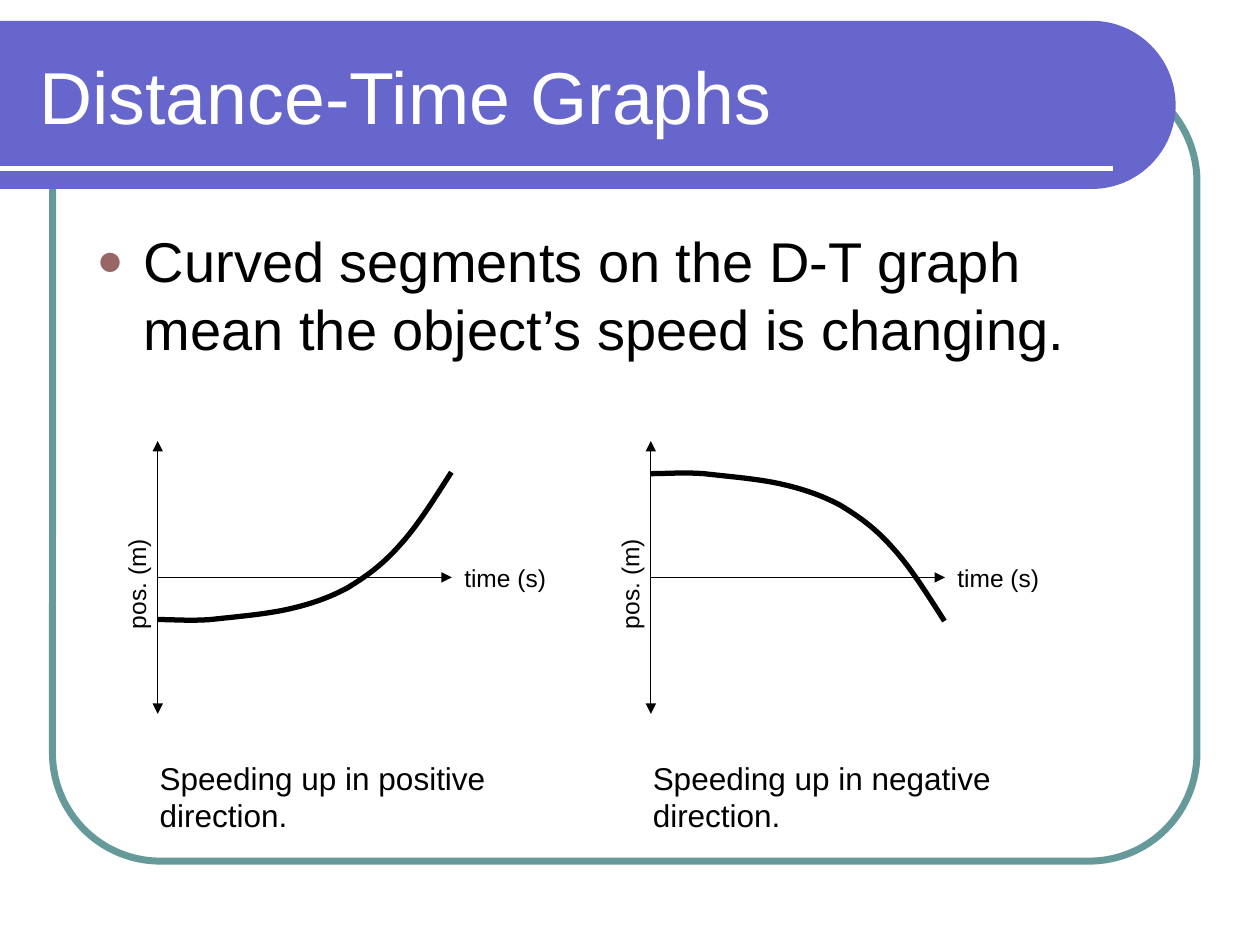
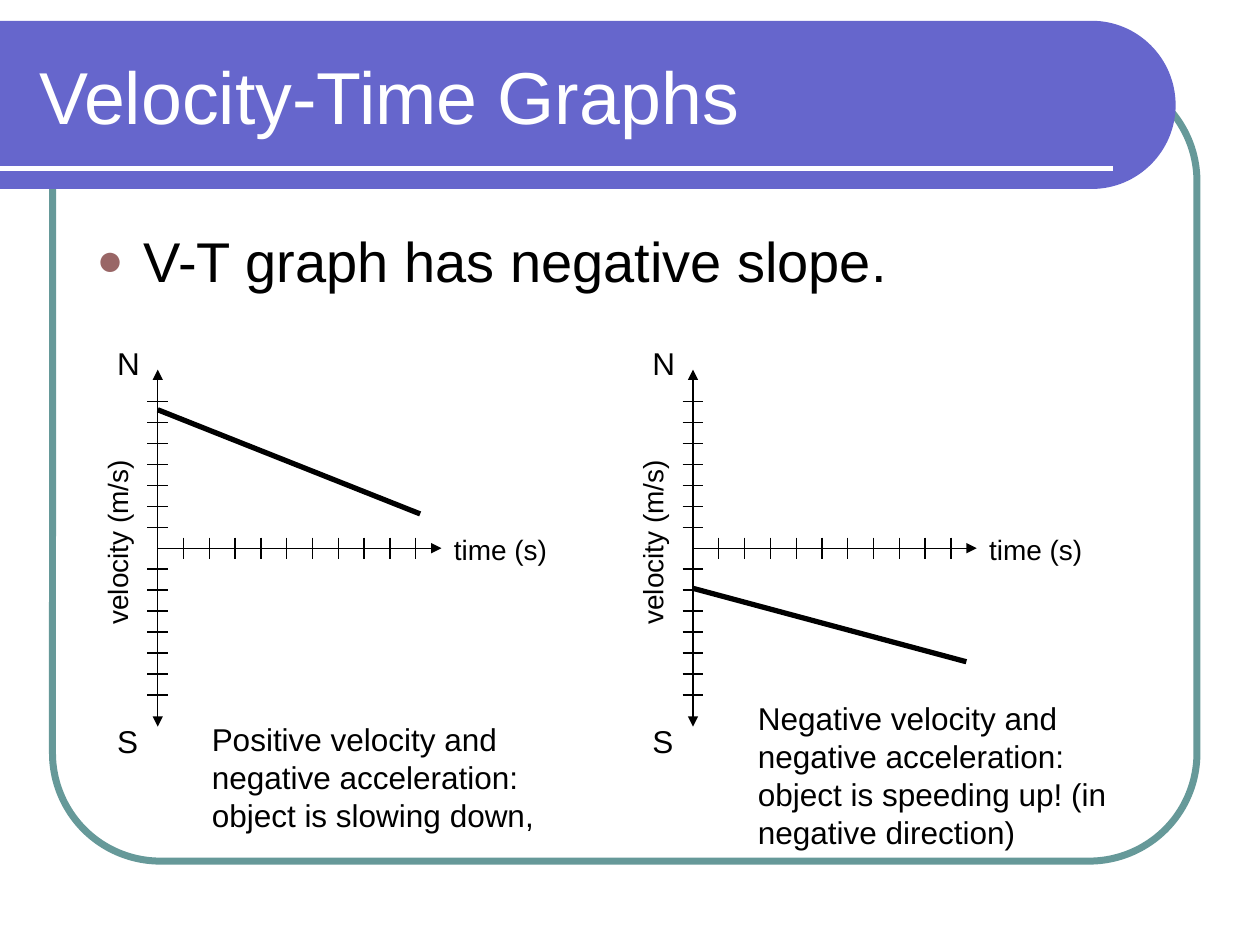
from dataclasses import dataclass

from lxml import etree
from pptx import Presentation
from pptx import util as u
from pptx.dml.color import RGBColor
from pptx.enum import shapes, text
from pptx.oxml.ns import qn


@dataclass(frozen=True)
class Theme:
    font: str = "Arial"
    ink: RGBColor = RGBColor(0, 0, 0)
    paper: RGBColor = RGBColor(255, 255, 255)
    band: RGBColor = RGBColor(0x66, 0x66, 0xCC)
    frame: RGBColor = RGBColor(0x66, 0x99, 0x99)
    bullet: str = "996666"
    title: int = 42
    body: int = 32
    caption: int = 18
    velocity_label: int = 16
    position_label: int = 14
    thin: float = 0.75
    thick: int = 3
    frame_weight: int = 4


theme = Theme()


def add_line(slide, x1, y1, x2, y2, weight=theme.thin, color=theme.ink, arrows=()):
    line = slide.shapes.add_connector(
        shapes.MSO_CONNECTOR.STRAIGHT, u.Cm(x1), u.Cm(y1), u.Cm(x2), u.Cm(y2))
    line.line.color.rgb = color
    line.line.width = u.Pt(weight)
    properties = line._element.spPr
    for end in arrows:
        etree.SubElement(properties.find(qn("a:ln")), qn(f"a:{end}"), type="triangle")
    etree.SubElement(properties, qn("a:effectLst"))


def add_label(slide, words, x, y, width, height, size, color=theme.ink):
    label = slide.shapes.add_textbox(u.Cm(x), u.Cm(y), u.Cm(width), u.Cm(height))
    label.text_frame.word_wrap = True
    label.text_frame.text = words
    font = label.text_frame.paragraphs[0].runs[0].font
    font.name, font.size, font.color.rgb = theme.font, u.Pt(size), color
    return label


deck = Presentation()
deck.slide_width, deck.slide_height = u.Cm(25.4), u.Cm(19.05)

# Shared frame, band, title and bullet
headings = [
    ("Distance-Time Graphs",
     "Curved segments on the D-T graph mean the object’s speed is changing.", 3.6),
    ("Velocity-Time Graphs", "V-T graph has negative slope.", 12.28),
]
band_outline = [
    (0, 0.42), (22.01, 0.42),
    (22.94, 0.42), (23.7, 1.18), (23.7, 2.12),
    (23.7, 3.05), (22.94, 3.81), (22.01, 3.81),
    (0, 3.81),
]
curved_outlines = []  # shape, first control point after the start, number of curves

for title, statement, statement_height in headings:
    slide = deck.slides.add_slide(deck.slide_layouts[6])

    frame = slide.shapes.add_shape(
        shapes.MSO_SHAPE.ROUNDED_RECTANGLE, u.Cm(1.06), u.Cm(1.48), u.Cm(23.07), u.Cm(15.88))
    frame.adjustments[0] = 0.137
    frame.shadow.inherit = False
    frame.fill.background()
    frame.line.color.rgb = theme.frame
    frame.line.width = u.Pt(theme.frame_weight)

    points = [(u.Cm(x), u.Cm(y)) for x, y in band_outline]
    builder = slide.shapes.build_freeform(*points[0])
    builder.add_line_segments(points[1:], close=True)
    band = builder.convert_to_shape()
    band.shadow.inherit = False
    band.fill.solid()
    band.fill.fore_color.rgb = theme.band
    band.line.fill.background()
    curved_outlines.append((band, 1, 2))
    add_line(slide, 0, 3.39, 22.44, 3.39, theme.thick, theme.paper)

    heading = add_label(slide, title, 0.54, 0.64, 22.28, 2.54, theme.title, theme.paper)
    heading.text_frame.vertical_anchor = text.MSO_ANCHOR.MIDDLE

    body = add_label(slide, statement, 1.7, 4.45, 22.01, statement_height, theme.body)
    bullet = body.text_frame.paragraphs[0]._p.get_or_add_pPr()
    bullet.set("marL", str(u.Cm(0.95)))
    bullet.set("indent", str(u.Cm(-0.95)))
    bullet_color = etree.SubElement(bullet, qn("a:buClr"))
    etree.SubElement(bullet_color, qn("a:srgbClr"), val=theme.bullet)
    etree.SubElement(bullet, qn("a:buSzPct"), val="80000")
    etree.SubElement(bullet, qn("a:buFont"), typeface=theme.font)
    etree.SubElement(bullet, qn("a:buChar"), char="●")

distance_slide, velocity_slide = deck.slides
both_ends, far_end = ("headEnd", "tailEnd"), ("tailEnd",)

# Distance-time graphs: one chain of cubic curves, flipped for the negative direction
curve_middle, time_axis, time_length = 11.02, 11.64, 5.93
curve_controls = [
    (0, 1.47), (0.33, 1.47), (0.64, 1.5), (1.07, 1.47),
    (1.5, 1.42), (2.13, 1.37), (2.59, 1.27),
    (3.05, 1.17), (3.43, 1.04), (3.81, 0.84),
    (4.19, 0.61), (4.52, 0.38), (4.88, -0.03),
    (5.23, -0.41), (5.56, -0.94), (5.92, -1.5),
]

for origin, direction, flip in [(3.18, "positive", 1), (13.12, "negative", -1)]:
    add_line(distance_slide, origin, 8.89, origin, 14.39, arrows=both_ends)
    add_line(distance_slide, origin, time_axis, origin + time_length, time_axis, arrows=far_end)
    add_label(distance_slide, "time (s)", origin + time_length, 11.22, 2.34, 0.86,
              theme.position_label)
    position = add_label(distance_slide, "pos. (m)", origin - 1.59, 11.33, 2.34, 0.86,
                         theme.position_label)
    position.rotation = 270
    add_label(distance_slide, f"Speeding up in {direction} direction.",
              origin - 0.21, 15.17, 8.68, 1.77, theme.caption)

    points = [(u.Cm(origin + x), u.Cm(curve_middle + flip * y)) for x, y in curve_controls]
    builder = distance_slide.shapes.build_freeform(*points[0])
    builder.add_line_segments(points[1:], close=False)
    motion = builder.convert_to_shape()
    motion.shadow.inherit = False
    motion.fill.background()
    motion.line.color.rgb = theme.ink
    motion.line.width = u.Pt(theme.thick)
    curved_outlines.append((motion, 0, 5))

# Join each three control points into one cubic curve
for outline, first, count in curved_outlines:
    segments = list(outline._element.iter(qn("a:lnTo")))
    for start in range(first, first + 3 * count, 3):
        cubic = etree.Element(qn("a:cubicBezTo"))
        segments[start].addprevious(cubic)
        for segment in segments[start:start + 3]:
            cubic.append(segment[0])
            segment.getparent().remove(segment)

# Velocity-time graphs: ticked axes, a straight line and a caption
time_axis, time_length, velocity_reach = 11.05, 5.72, 3.6
velocity_tick, time_tick, tick_half = 2.96 / 7, 0.52, 0.21
velocity_graphs = [
    (3.18, (-2.79, 5.29, -0.69),
     "Positive velocity and negative acceleration: object is slowing down,",
     (0.84, 14.4, 2.54)),
    (13.97, (0.81, 5.51, 2.29),
     "Negative velocity and negative acceleration: object is speeding up! "
     "(in negative direction)",
     (1.06, 13.97, 3.3)),
]
for origin, (start, run, finish), caption, (shift, top, height) in velocity_graphs:
    add_line(velocity_slide, origin, time_axis - velocity_reach,
             origin, time_axis + velocity_reach, arrows=both_ends)
    for step in range(-7, 8):
        if step:
            y = time_axis + step * velocity_tick
            add_line(velocity_slide, origin - tick_half, y, origin + tick_half, y)
    add_line(velocity_slide, origin, time_axis, origin + time_length, time_axis, arrows=far_end)
    for step in range(1, 11):
        x = origin + step * time_tick
        add_line(velocity_slide, x, time_axis - tick_half, x, time_axis + tick_half)

    add_label(velocity_slide, "time (s)", origin + time_length, 10.62, 2.54, 0.94,
              theme.velocity_label)
    velocity = add_label(velocity_slide, "velocity (m/s)", origin - 2.82, 10.46, 4.01, 0.94,
                         theme.velocity_label)
    velocity.rotation = 270
    velocity.text_frame.paragraphs[0].alignment = text.PP_ALIGN.CENTER
    for compass, y in [("N", 6.81), ("S", 14.43)]:
        add_label(velocity_slide, compass, origin - 1.07, y, 1.07, 1.02, theme.caption)

    add_line(velocity_slide, origin, time_axis + start, origin + run, time_axis + finish,
             theme.thick)
    add_label(velocity_slide, caption, origin + shift, top, 8.47, height, theme.caption)

deck.save("out.pptx")
